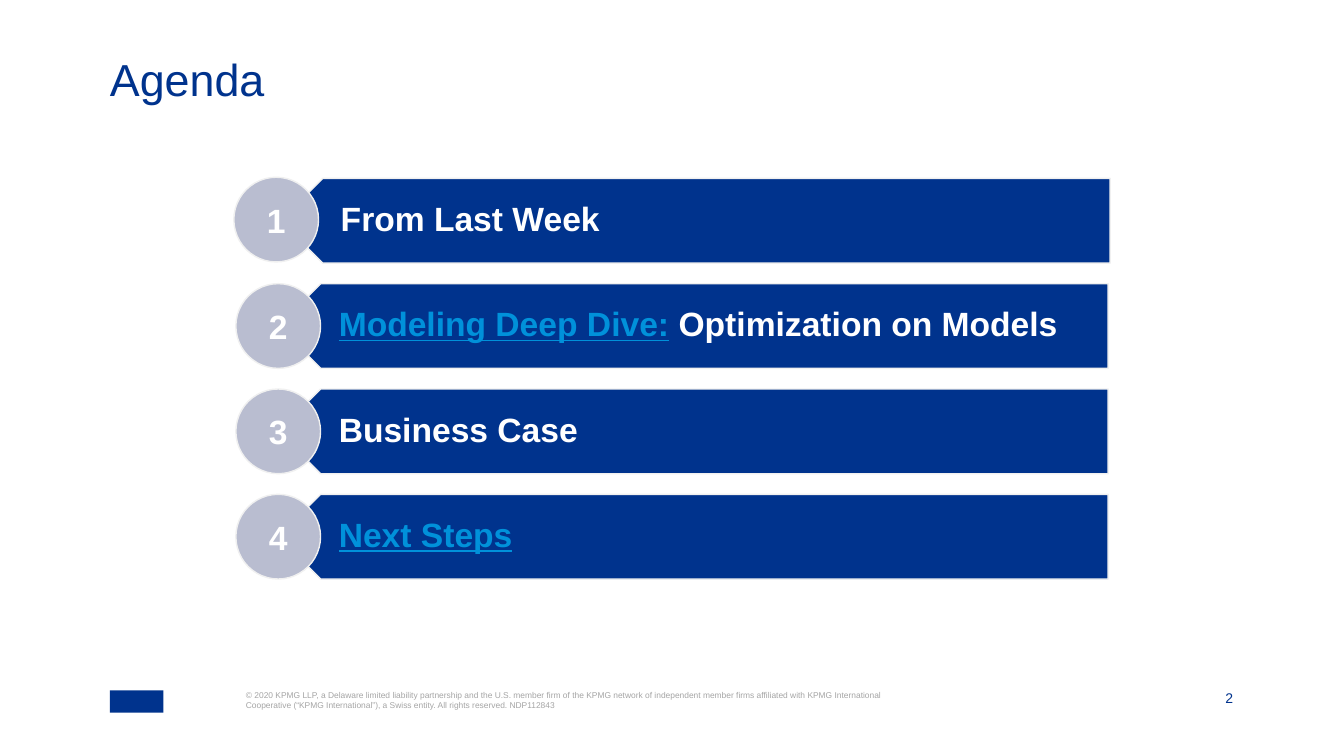
from pptx import Presentation
from pptx import util as u
from pptx.dml.color import RGBColor
from pptx.enum import shapes, text

WIDTH, HEIGHT = 13.33, 7.5
NAVY, GREY, EDGE = "00338D", "B9BDD0", "F0F0F0"
WHITE, LINK, FOOTER = "FFFFFF", "0091DA", "A5A5A5"

# Agenda grid, in percent of the slide's width and height
FIRST_ROW, ROW_STEP, ROW_HEIGHT = 23.6, 13.93, 11.2
BAR_LEFT, BAR_WIDTH = 20.71, 61.74
LABEL_LEFT, LABEL_WIDTH = 22.28, 60.17
CIRCLE_LEFT, CIRCLE_WIDTH = 17.55, 6.3
FIRST_SHIFT = 0.15  # the first row spreads slightly outwards

# Each item is a list of (words, is a link)
ITEMS = [
    [("From Last Week", False)],
    [("Modeling Deep Dive:", True), (" Optimization on Models", False)],
    [("Business Case", False)],
    [("Next Steps", True)],
]


def rgb(value):
    return RGBColor.from_string(value)


def box(left, top, width, height):
    """Turn percentages of the slide into a position and a size."""
    return (u.Inches(WIDTH * left / 100), u.Inches(HEIGHT * top / 100),
            u.Inches(WIDTH * width / 100), u.Inches(HEIGHT * height / 100))


def set_font(r, size, color, bold=False, underline=False):
    r.font.name = "Arial"
    r.font.size = u.Pt(size)
    r.font.color.rgb = rgb(color)
    r.font.bold = bold
    r.font.underline = underline


def set_frame(tf, insets, anchor):
    tf.word_wrap = True
    tf.vertical_anchor = anchor
    tf.margin_left, tf.margin_top, tf.margin_right, tf.margin_bottom = map(u.Inches, insets)


def add_text(s, area, words, size, color, anchor=text.MSO_ANCHOR.TOP,
             align=text.PP_ALIGN.LEFT, spacing=1.0):
    tf = s.shapes.add_textbox(*box(*area)).text_frame
    set_frame(tf, (0, 0, 0, 0), anchor)
    p = tf.paragraphs[0]
    p.text = words
    p.alignment = align
    p.line_spacing = spacing
    set_font(p.runs[0], size, color)


def add_filled(s, kind, area, fill, line=None):
    sp = s.shapes.add_shape(kind, *box(*area))
    sp.shadow.inherit = False
    sp.fill.solid()
    sp.fill.fore_color.rgb = rgb(fill)
    if line:
        sp.line.color.rgb = rgb(line)
        sp.line.width = u.Pt(1)
    else:
        sp.line.fill.background()
    return sp


def add_bar(s, left, top):
    area = (left, top, BAR_WIDTH, ROW_HEIGHT)
    sp = add_filled(s, shapes.MSO_SHAPE.PENTAGON, area, NAVY, EDGE)
    sp.adjustments[0] = 0.5
    sp.rotation = 180


def add_label(s, left, top, parts):
    area = (left, top, LABEL_WIDTH, ROW_HEIGHT)
    tf = s.shapes.add_textbox(*box(*area)).text_frame
    set_frame(tf, (0.39, 0.1, 0.19, 0.1), text.MSO_ANCHOR.MIDDLE)
    p = tf.paragraphs[0]
    p.line_spacing = 0.9
    for words, is_link in parts:
        r = p.add_run()
        r.text = words
        set_font(r, 24, LINK if is_link else WHITE, bold=True, underline=is_link)


def add_circle(s, left, top, number):
    area = (left, top, CIRCLE_WIDTH, ROW_HEIGHT)
    sp = add_filled(s, shapes.MSO_SHAPE.OVAL, area, GREY, EDGE)
    tf = sp.text_frame
    set_frame(tf, (0.1, 0.1, 0.1, 0.1), text.MSO_ANCHOR.MIDDLE)
    p = tf.paragraphs[0]
    p.text = str(number)
    p.alignment = text.PP_ALIGN.CENTER
    set_font(p.runs[0], 24, WHITE, bold=True)


def add_agenda(s):
    for i, parts in enumerate(ITEMS):
        top = FIRST_ROW + i * ROW_STEP
        shift = FIRST_SHIFT if i == 0 else 0
        add_bar(s, BAR_LEFT + shift, top)
        add_label(s, LABEL_LEFT + shift, top, parts)
        add_circle(s, CIRCLE_LEFT - shift, top - shift, i + 1)


def add_footer(s):
    add_filled(s, shapes.MSO_SHAPE.RECTANGLE, (8.18, 91.33, 3.98, 2.93), NAVY)
    add_text(s, (18.3, 91.33, 47.94, 5.47),
             "© 2020 KPMG LLP, a Delaware limited liability partnership and the U.S. "
             "member firm of the KPMG network of independent member firms affiliated "
             "with KPMG International Cooperative (“KPMG International”), a Swiss "
             "entity. All rights reserved. NDP112843", 6, FOOTER)
    add_text(s, (88.07, 91.33, 3.68, 2.13), "2", 10, NAVY,
             anchor=text.MSO_ANCHOR.BOTTOM, align=text.PP_ALIGN.RIGHT)


def main():
    prs = Presentation()
    prs.slide_width, prs.slide_height = u.Inches(WIDTH), u.Inches(HEIGHT)
    s = prs.slides.add_slide(prs.slide_layouts[6])
    add_footer(s)
    add_text(s, (8.18, 7.6, 83.65, 7.73), "Agenda", 32, NAVY, spacing=0.9)
    add_agenda(s)
    prs.save("out.pptx")


if __name__ == "__main__":
    main()
